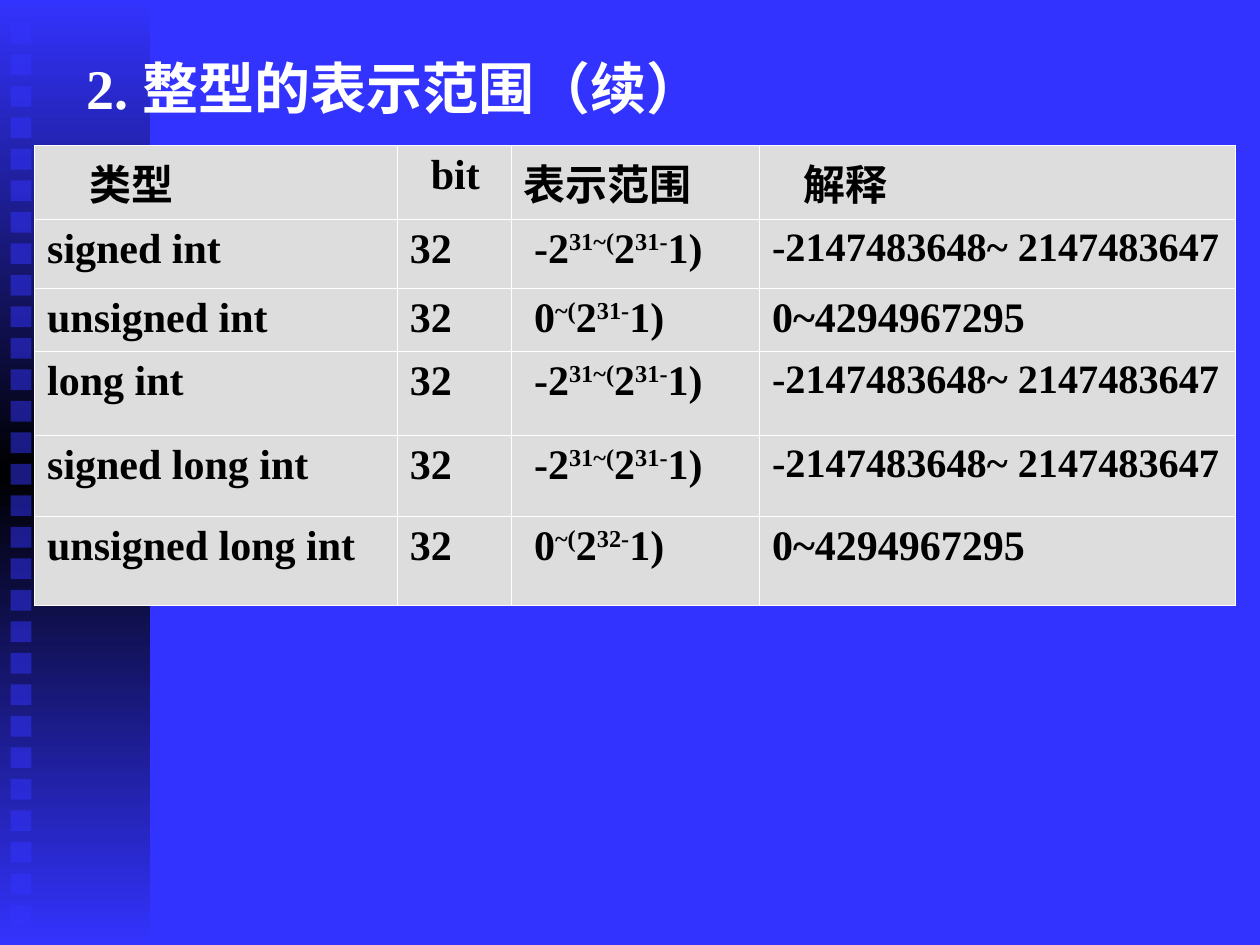
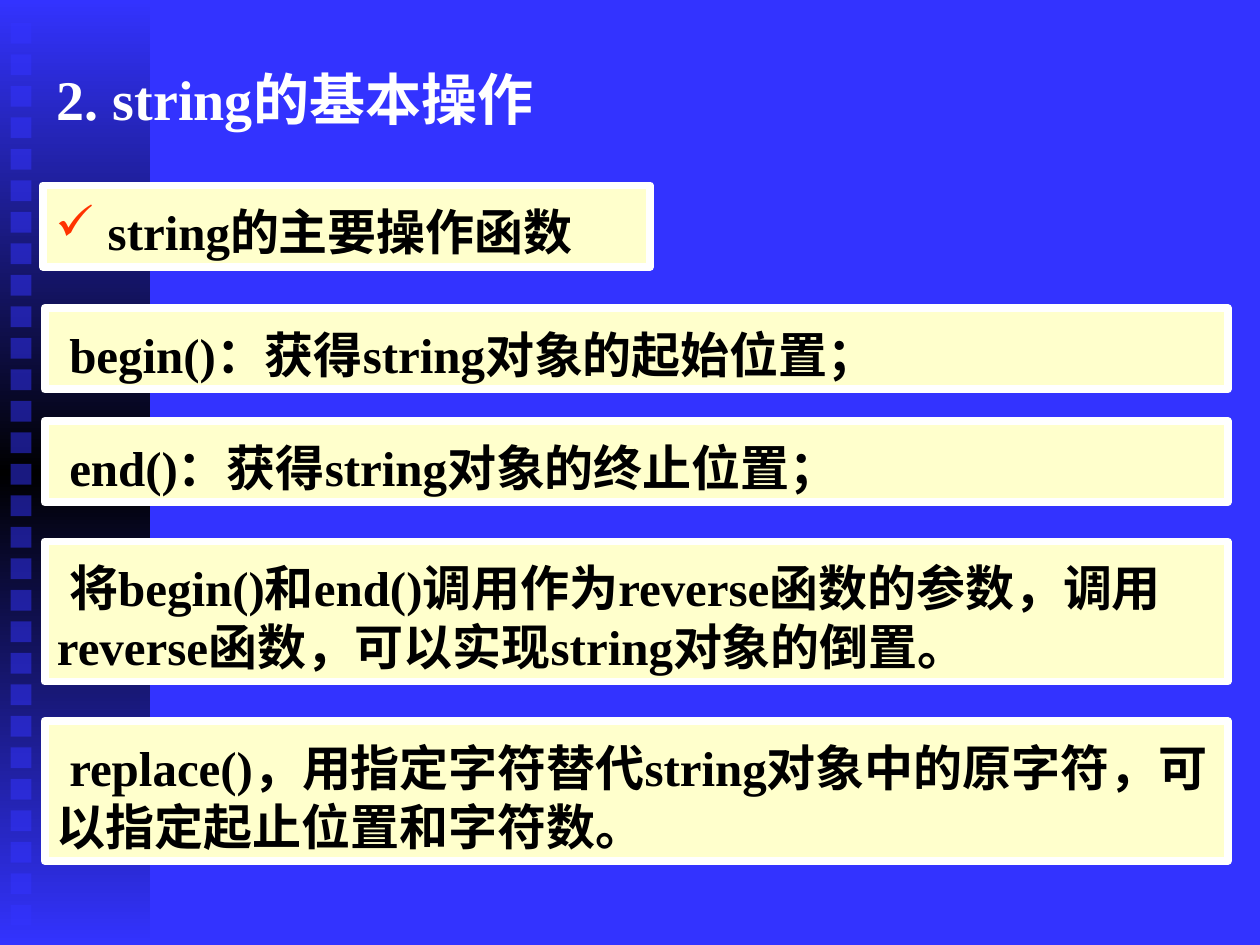
import copy
from typing import NamedTuple

import pptx
import pptx.dml.color
import pptx.enum.dml
import pptx.enum.shapes
import pptx.enum.text
import pptx.oxml
import pptx.oxml.ns
import pptx.util

Pt = pptx.util.Pt
RGBColor = pptx.dml.color.RGBColor
qn = pptx.oxml.ns.qn

BLUE = RGBColor(0x33, 0x33, 0xFF)
BLACK = RGBColor(0, 0, 0)
WHITE = RGBColor(0xFF, 0xFF, 0xFF)
GREY = RGBColor(0xDD, 0xDD, 0xDD)
CREAM = RGBColor(0xFF, 0xFF, 0xCC)
RED = RGBColor(0xFF, 0x33, 0x00)
FONT = "Times New Roman"
NS = pptx.oxml.ns.nsdecls("a")
RECT = pptx.enum.shapes.MSO_SHAPE.RECTANGLE

SLIDE_W, SLIDE_H = 720, 540
SQUARE_COUNT, SQUARE_TOP, SQUARE_PITCH = 29, 13, 18
THIN, THICK = 0.45, 1.08


class Box(NamedTuple):
    left: float
    top: float
    width: float
    height: float


class Note(NamedTuple):
    box: Box
    text: str
    bullet: str = ""


COLUMN_WIDTHS = (207.25, 65, 142, 272)
ROW_HEIGHTS = (42.25, 39.5, 36, 48, 46.25, 50.75)
HEADER_INDENTS = (24, 12, 0, 18)
RANGE_INDENT = 6
SIGNED = ("32", "-2^31~(^2^31-^1)", "-2147483648~ 2147483647")
TYPE_ROWS = (
    ("类型", "bit", "表示范围", "解释"),
    ("signed int", *SIGNED),
    ("unsigned int", "32", "0^~(^2^31-^1)", "0~4294967295"),
    ("long int", *SIGNED),
    ("signed long int", *SIGNED),
    ("unsigned long int", "32", "0^~(^2^32-^1)", "0~4294967295"),
)

NOTES = (
    Note(Box(24.5, 106, 347, 46.5), "string的主要操作函数", "✓"),
    Note(Box(25.5, 176, 676, 46.5), "begin()：获得string对象的起始位置；"),
    Note(Box(25.5, 240.5, 676, 46.5), "end()：获得string对象的终止位置；"),
    Note(Box(25.5, 309.5, 676, 80),
         "将begin()和end()调用作为reverse函数的参数，调用reverse函数，可以实现string对象的倒置。"),
    Note(Box(25.5, 412, 676, 80),
         "replace()，用指定字符替代string对象中的原字符，可以指定起止位置和字符数。"),
)


def write(tf, text: str, *, size: float, color: RGBColor, margin: float = 0,
          indent: float = 0, bullet: str = "") -> None:
    p = tf.paragraphs[0]
    p.alignment = pptx.enum.text.PP_ALIGN.LEFT
    pPr = p._p.get_or_add_pPr()
    pPr.set("marL", str(Pt(margin)))
    pPr.set("indent", str(Pt(indent)))
    if bullet:
        pPr.append(pptx.oxml.parse_xml(
            f'<a:buClr {NS}><a:srgbClr val="{RED}"/></a:buClr>'))
        pPr.append(pptx.oxml.parse_xml(f'<a:buChar {NS} char="{bullet}"/>'))
    for i, piece in enumerate(text.split("^")):
        r = p.add_run()
        r.text = piece
        r.font.name = FONT
        r.font.size = Pt(size)
        r.font.bold = True
        r.font.color.rgb = color
        if i % 2:
            r._r.get_or_add_rPr().set("baseline", "30000")


def place(sp, box: Box) -> None:
    sp.left, sp.top, sp.width, sp.height = map(Pt, box)


def add_rect(shapes, box: Box, color: RGBColor):
    sp = shapes.add_shape(RECT, *map(Pt, box))
    sp.shadow.inherit = False
    sp.fill.solid()
    sp.fill.fore_color.rgb = color
    sp.line.fill.background()
    return sp


def add_side_band(slide, layout) -> None:
    group = slide.shapes.add_group_shape()
    band = add_rect(group.shapes, Box(0, 0, 85.75, SLIDE_H), BLACK)
    band.fill.gradient()
    band.fill.gradient_angle = 90
    stops = band.element.find(".//" + qn("a:gsLst"))
    stops.append(copy.deepcopy(stops[0]))
    for stop, position, color in zip(band.fill.gradient_stops, (0, 0.5, 1), (BLUE, BLACK, BLUE)):
        stop.position = position
        stop.color.rgb = color
    for i in range(SQUARE_COUNT):
        square = add_rect(group.shapes, Box(6, SQUARE_TOP + i * SQUARE_PITCH, 12, 12), BLUE)
        color = square.element.find(".//" + qn("a:srgbClr"))
        color.append(pptx.oxml.parse_xml(f'<a:alpha {NS} val="50000"/>'))
    layout.shapes.element.insert(2, group.element)


def add_title(slide, text: str, box: Box, indent: float = 0) -> None:
    sp = slide.shapes.title
    place(sp, box)
    tf = sp.text_frame
    tf.word_wrap = True
    tf.auto_size = pptx.enum.text.MSO_AUTO_SIZE.NONE
    tf.vertical_anchor = pptx.enum.text.MSO_ANCHOR.MIDDLE
    write(tf, text, size=32, color=WHITE, indent=indent)


def set_borders(cell, last_col: bool, last_row: bool) -> None:
    tcPr = cell._tc.get_or_add_tcPr()
    widths = {"L": THIN, "R": THICK if last_col else THIN,
              "T": THIN, "B": THICK if last_row else THIN}
    for i, (side, width) in enumerate(widths.items()):
        tcPr.insert(i, pptx.oxml.parse_xml(
            f'<a:ln{side} {NS} w="{Pt(width)}"><a:solidFill>'
            f'<a:srgbClr val="{WHITE}"/></a:solidFill></a:ln{side}>'))


def add_type_table(slide) -> None:
    rows, cols = len(ROW_HEIGHTS), len(COLUMN_WIDTHS)
    box = Box(19.75, 83.25, sum(COLUMN_WIDTHS), sum(ROW_HEIGHTS))
    table = slide.shapes.add_table(rows, cols, *map(Pt, box)).table
    table.first_row = table.horz_banding = False
    for column, width in zip(table.columns, COLUMN_WIDTHS):
        column.width = Pt(width)
    for y, (row, height) in enumerate(zip(table.rows, ROW_HEIGHTS)):
        row.height = Pt(height)
        for x, cell in enumerate(row.cells):
            text = TYPE_ROWS[y][x]
            cell.fill.solid()
            cell.fill.fore_color.rgb = GREY
            set_borders(cell, x == cols - 1, y == rows - 1)
            indent = HEADER_INDENTS[x] if y == 0 else RANGE_INDENT if x == 2 else 0
            write(cell.text_frame, text, size=23 if text == SIGNED[-1] else 24,
                  color=BLACK, indent=indent)


def add_note(slide, note: Note) -> None:
    sp = add_rect(slide.shapes, note.box, CREAM)
    sp.line.color.rgb = WHITE
    sp.line.width = Pt(4.5)
    tf = sp.text_frame
    tf.word_wrap = True
    tf.auto_size = pptx.enum.text.MSO_AUTO_SIZE.SHAPE_TO_FIT_TEXT
    tf.vertical_anchor = pptx.enum.text.MSO_ANCHOR.TOP
    tf.margin_top = Pt(9.36)
    margin, indent = (30, -30) if note.bullet else (0, 7)
    write(tf, note.text, size=28, color=BLACK, margin=margin, indent=indent,
          bullet=note.bullet)


def main() -> None:
    prs = pptx.Presentation()
    prs.slide_width, prs.slide_height = Pt(SLIDE_W), Pt(SLIDE_H)
    layout = prs.slide_layouts[5]
    layout.background.fill.solid()
    layout.background.fill.fore_color.rgb = BLUE

    s = prs.slides.add_slide(layout)
    add_side_band(s, layout)
    add_title(s, "2. 整型的表示范围（续）", Box(26, 20, 612, 60), indent=16)
    add_type_table(s)

    s = prs.slides.add_slide(layout)
    add_title(s, "2. string的基本操作", Box(25.25, 26, 624, 60))
    for note in NOTES:
        add_note(s, note)

    prs.save("out.pptx")


if __name__ == "__main__":
    main()
